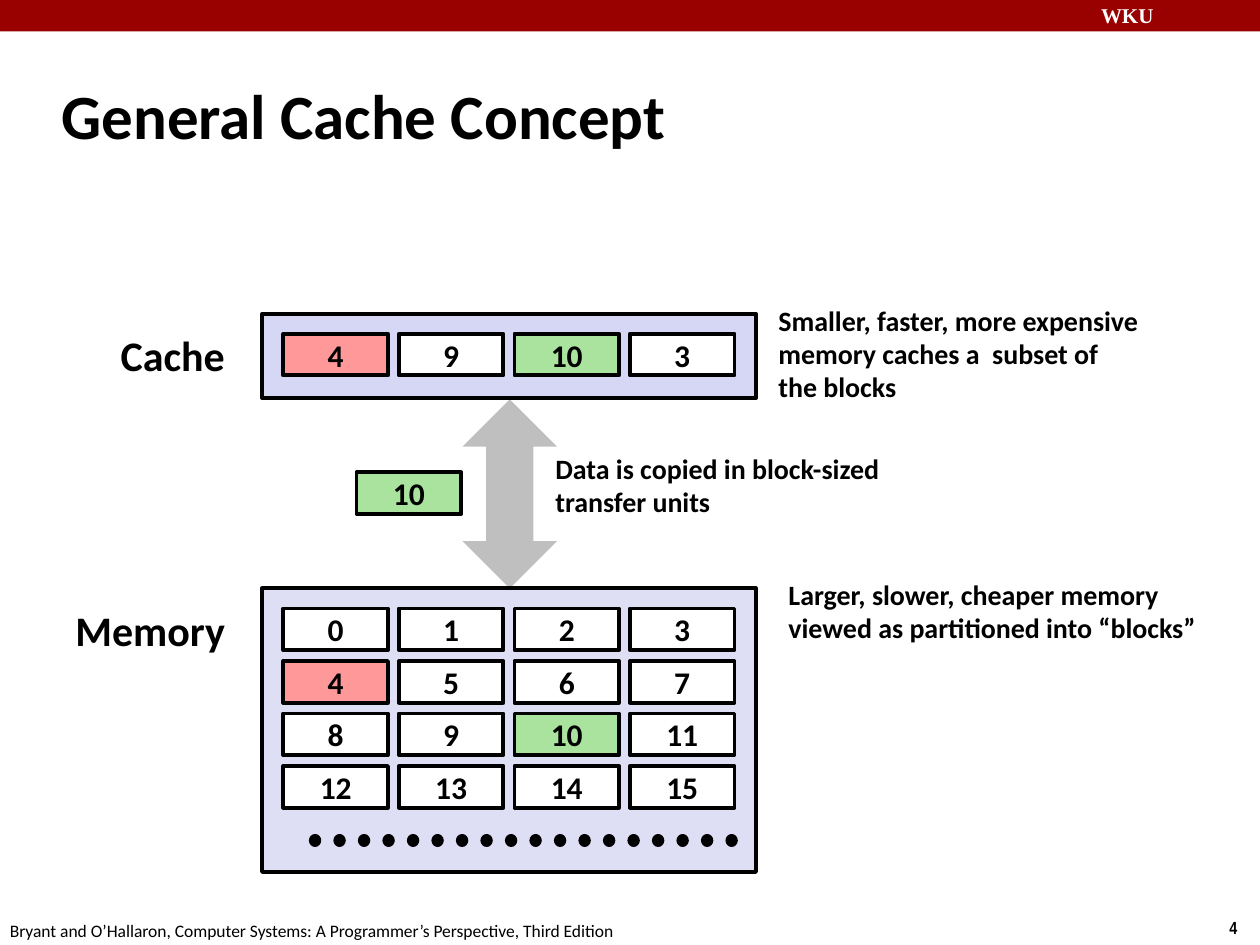
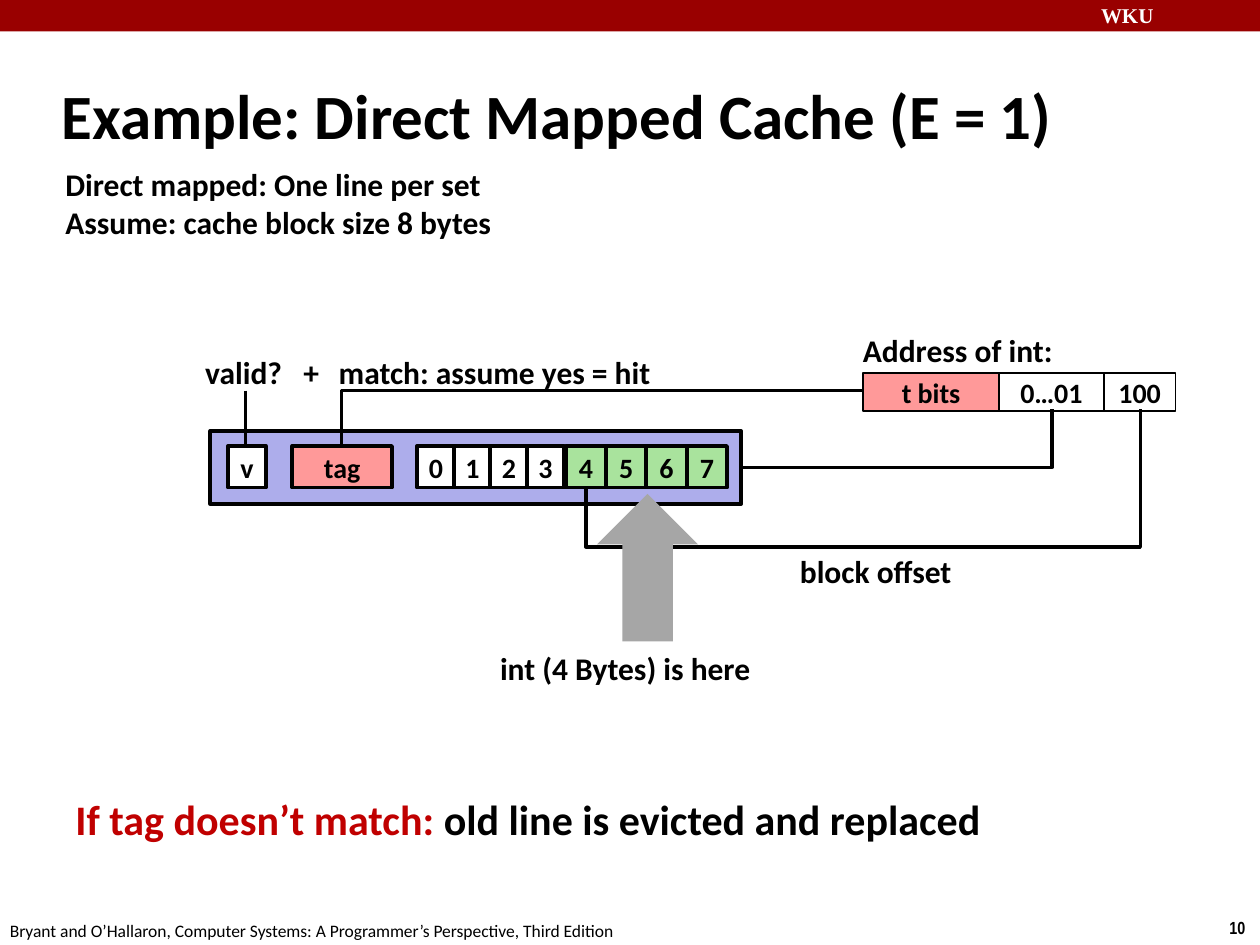
from pptx import Presentation
from pptx.dml.color import RGBColor
from pptx.enum.dml import MSO_LINE
from pptx.enum.shapes import MSO_CONNECTOR, MSO_SHAPE
from pptx.enum.text import MSO_ANCHOR, MSO_AUTO_SIZE, PP_ALIGN
from pptx.oxml.ns import qn
from pptx.util import Inches, Pt
from lxml import etree

RECT = MSO_SHAPE.RECTANGLE
STRAIGHT, ELBOW = MSO_CONNECTOR.STRAIGHT, MSO_CONNECTOR.ELBOW
TOP, MIDDLE = MSO_ANCHOR.TOP, MSO_ANCHOR.MIDDLE
CENTER = PP_ALIGN.CENTER

BLACK, WHITE, BAND = "000000", "FFFFFF", "990000"
RED, GREEN, WARNING = "FF9999", "A9E39D", "C00000"
BODY = "Calibri"

SCHOOL = "WKU"
CITATION = "Bryant and O’Hallaron, Computer Systems: A Programmer’s Perspective, Third Edition"

CONCEPT = {
    "title": "General Cache Concept",
    "number": "4",
    "stores": [
        ("Memory", (0.5, 4.75, 1.4, 0.5), (2.08, 4.67, 3.92, 2.25), "DEDFF5",
         [range(0, 4), range(4, 8), range(8, 12), range(12, 16)]),
        ("Cache", (0.86, 2.57, 1.04, 0.5), (2.08, 2.49, 3.92, 0.67), "D6D6F5", [[4, 9, 10, 3]]),
    ],
    "transfer": 10,
    "notes": [
        ("Larger, slower, cheaper memory\nviewed as partitioned into “blocks”", (6.16, 4.54, 3.5, 0.63), False),
        ("Data is copied in block-sized transfer units", (4.31, 3.54, 3.1, 0.63), True),
        ("Smaller, faster, more expensive\nmemory caches a  subset of\nthe blocks", (6.08, 2.37, 3.21, 0.89), False),
    ],
}
BLOCK_FILLS = {4: RED, 10: GREEN}
BLOCK_W, BLOCK_H = 0.83, 0.33
COLUMN_STEP, ROW_STEP = 2.75 / 3, 1.25 / 3

MAPPED = {
    "title": "Example: Direct Mapped Cache (E = 1)",
    "number": "10",
    "labels": [
        ("Direct mapped: One line per set\nAssume: cache block size 8 bytes", (0.42, 1.26, 3.61, 0.71)),
        ("Address of int:", (6.75, 2.58, 1.72, 0.4)),
        ("match: assume yes = hit", (2.59, 2.75, 2.7, 0.4)),
        ("int (4 Bytes) is here", (3.87, 5.1, 2.21, 0.4)),
        ("block offset", (6.25, 4.33, 1.42, 0.4)),
    ],
    "valid": "valid?\t+",
    "address": [("t bits", 1.08, RED), ("0…01", 0.83, WHITE), ("100", 0.57, WHITE)],
    "line": [("v", 1.81, 0.3, WHITE), ("tag", 2.32, 0.79, RED)],
    "eviction": [("If tag doesn’t match: ", WARNING), ("old line is evicted and replaced", BLACK)],
}


def rgb(value):
    return RGBColor.from_string(value)


def style(runs, size, color=BLACK, font=BODY, bold=True):
    for run in runs:
        run.font.size, run.font.name, run.font.bold = Pt(size), font, bold
        run.font.color.rgb = rgb(color)


def add_text(slide, text, place, size, wrap=False, anchor=TOP, spacing=None, grow=True, **look):
    frame = slide.shapes.add_textbox(*map(Inches, place)).text_frame
    frame.word_wrap = wrap
    frame.auto_size = MSO_AUTO_SIZE.SHAPE_TO_FIT_TEXT if grow else MSO_AUTO_SIZE.NONE
    frame.vertical_anchor = anchor
    frame.text = text
    for paragraph in frame.paragraphs:
        if spacing:
            paragraph.line_spacing = spacing
        style(paragraph.runs, size, **look)
    return frame


def add_block(slide, place, fill, text="", size=18, weight=2.25, preset=RECT):
    block = slide.shapes.add_shape(preset, *map(Inches, place))
    block.shadow.inherit = False
    block.fill.solid()
    block.fill.fore_color.rgb = rgb(fill)
    if weight:
        block.line.color.rgb = rgb(BLACK)
        block.line.width = Pt(weight)
    else:
        block.line.fill.background()
    if text:
        frame = block.text_frame
        frame.word_wrap = False
        frame.vertical_anchor = MIDDLE
        frame.text = text
        frame.paragraphs[0].alignment = CENTER
        style(frame.paragraphs[0].runs, size)


def add_wire(slide, start, end, kind=STRAIGHT, weight=2):
    wire = slide.shapes.add_connector(kind, *map(Inches, start + end))
    wire.line.color.rgb = rgb(BLACK)
    wire.line.width = Pt(weight)
    etree.SubElement(wire._element.spPr, qn("a:effectLst"))
    return wire


def add_corner(slide, start, end):
    wire = add_wire(slide, start, end, ELBOW)
    wire._element.spPr.find(qn("a:prstGeom")).set("prst", "bentConnector2")


def add_detour(slide, start, end, lowest):
    across, down = start[0] - end[0], end[1] - start[1]
    middle_x, middle_y = (start[0] + end[0]) / 2, (start[1] + end[1]) / 2
    wire = add_wire(slide, (middle_x - down / 2, middle_y - across / 2),
                    (middle_x + down / 2, middle_y + across / 2), ELBOW)
    properties = wire._element.spPr
    properties.find(qn("a:xfrm")).set("rot", str(90 * 60000))
    adjustments = properties.find(qn("a:prstGeom")).find(qn("a:avLst"))
    bend = round((lowest - start[1]) / down * 100000)
    etree.SubElement(adjustments, qn("a:gd"), name="adj1", fmla=f"val {bend}")


def start_slide(deck, content):
    slide = deck.slides.add_slide(deck.slide_layouts[6])
    add_block(slide, (0, 0, 10, 0.25), BAND, weight=0)
    add_text(slide, SCHOOL, (8.64, -0.03, 1.43, 0.3), 12, wrap=True, color=WHITE, font="Times New Roman")
    add_text(slide, content["number"], (9.66, 7.23, 0.34, 0.27), 10, font="Arial Narrow")
    add_text(slide, CITATION, (-0.02, 7.25, 5.08, 0.27), 10, bold=False)
    add_text(slide, content["title"], (0.39, 0.49, 8.3, 0.83), 36, wrap=True, anchor=MIDDLE, grow=False)
    return slide


def add_number(slide, number, left, top):
    add_block(slide, (left, top, BLOCK_W, BLOCK_H), BLOCK_FILLS.get(number, WHITE), str(number))


def build_concept(deck):
    slide = start_slide(deck, CONCEPT)
    add_block(slide, (3.67, 3.17, 0.75, 1.5), "BFBFBF", weight=0, preset=MSO_SHAPE.UP_DOWN_ARROW)
    for name, name_place, frame_place, fill, rows in CONCEPT["stores"]:
        add_text(slide, name, name_place, 24)
        add_block(slide, frame_place, fill)
        left, top = frame_place[0] + 0.17, frame_place[1] + 0.16
        for row, numbers in enumerate(rows):
            for column, number in enumerate(numbers):
                add_number(slide, number, left + column * COLUMN_STEP, top + row * ROW_STEP)
    add_number(slide, CONCEPT["transfer"], 2.83, 3.75)
    more_blocks = add_wire(slide, (2.5, 6.67), (5.83, 6.67), weight=7)
    more_blocks.line.dash_style = MSO_LINE.ROUND_DOT
    more_blocks._element.spPr.find(qn("a:ln")).set("cap", "rnd")
    for note, place, wrap in CONCEPT["notes"]:
        add_text(slide, note, place, 16, wrap=wrap, anchor=MIDDLE, spacing=0.98)


def build_mapped(deck):
    slide = start_slide(deck, MAPPED)
    left = 6.85
    for bits, width, fill in MAPPED["address"]:
        add_block(slide, (left, 2.96, width, 0.3), fill, bits, 16, 1)
        left += width

    add_block(slide, (1.67, 3.42, 4.21, 0.58), "ADADEB")
    cells = list(MAPPED["line"])
    cells += [(str(byte), 3.31 + byte * 0.29, 0.3, WHITE) for byte in range(4)]
    cells += [(str(byte), 4.49 + (byte - 4) * 0.32, 0.32, GREEN) for byte in range(4, 8)]
    for name, cell_left, width, fill in cells:
        add_block(slide, (cell_left, 3.54, width, 0.33), fill, name, 16)

    add_corner(slide, (5.88, 3.71), (8.35, 3.25))
    add_corner(slide, (6.85, 3.1), (2.71, 3.54))
    add_wire(slide, (1.95, 3.1), (1.95, 3.54))
    add_detour(slide, (9.05, 3.25), (4.65, 3.88), 4.34)
    add_block(slide, (4.74, 3.92, 0.8, 1.17), "A6A6A6", weight=0, preset=MSO_SHAPE.UP_ARROW)

    for label, place in MAPPED["labels"]:
        add_text(slide, label, place, 18)
    valid = add_text(slide, MAPPED["valid"], (1.53, 2.75, 1.12, 0.4), 18)
    stops = etree.SubElement(valid.paragraphs[0]._p.get_or_add_pPr(), qn("a:tabLst"))
    etree.SubElement(stops, qn("a:tab"), pos=str(Inches(0.78)), algn="l")

    eviction = add_text(slide, "", (0.5, 6.25, 7.46, 0.5), 24).paragraphs[0]
    for words, color in MAPPED["eviction"]:
        run = eviction.add_run()
        run.text = words
        style([run], 24, color)


def main():
    deck = Presentation()
    deck.slide_width, deck.slide_height = Inches(10), Inches(7.5)
    build_concept(deck)
    build_mapped(deck)
    deck.save("out.pptx")


if __name__ == "__main__":
    main()
